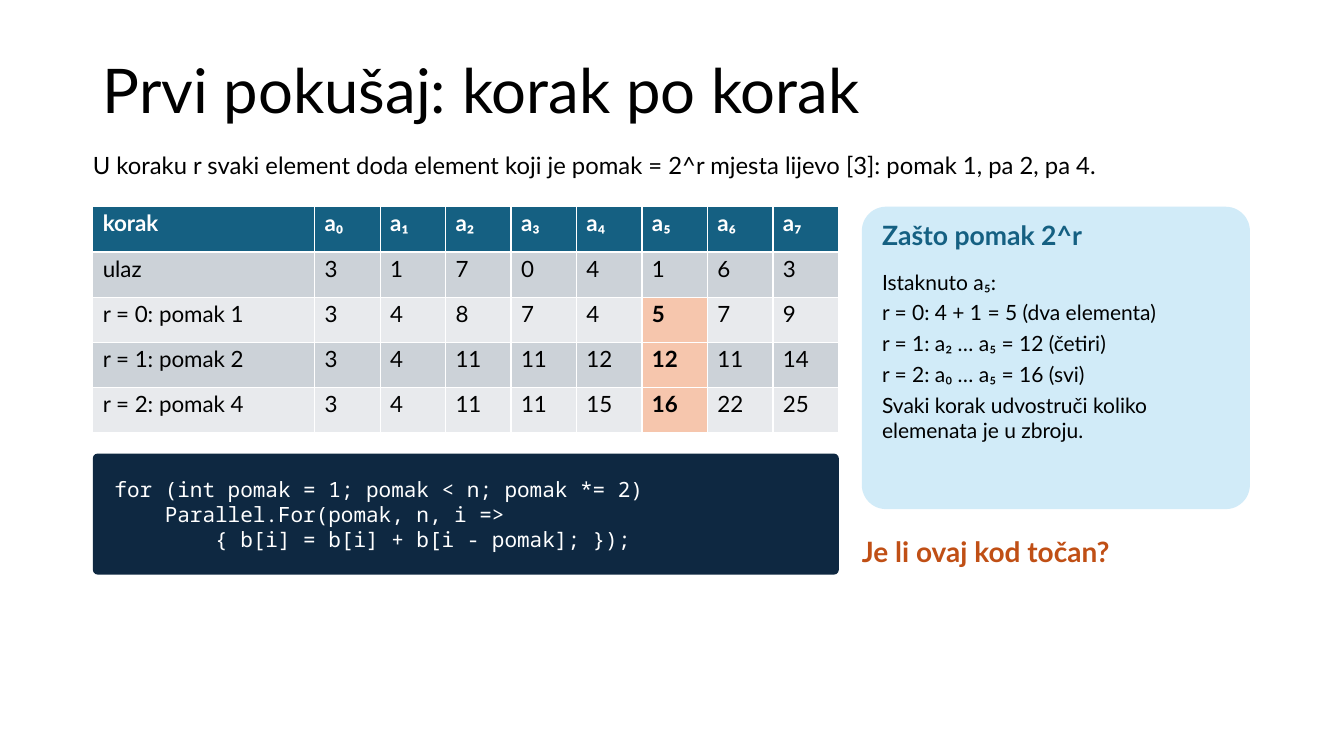
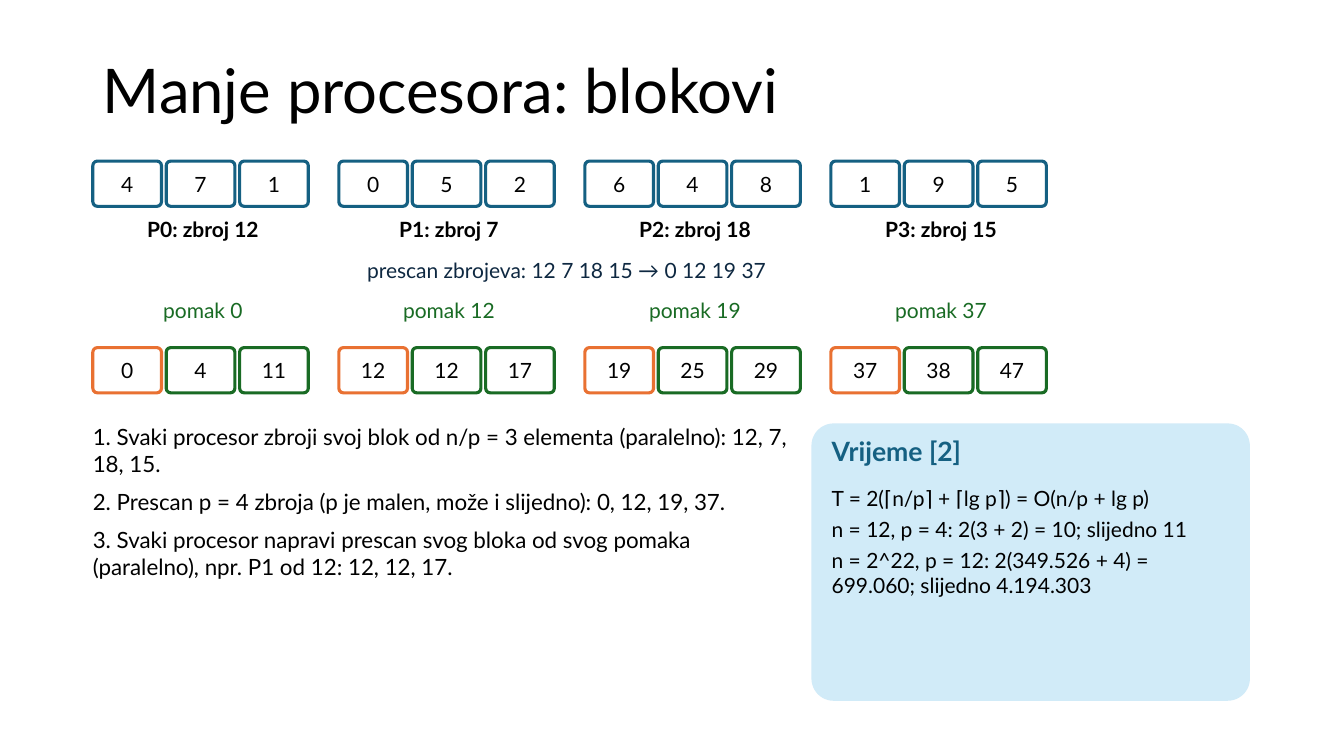
from dataclasses import dataclass
from itertools import accumulate
from typing import NamedTuple, Optional, Sequence

from pptx import Presentation
from pptx.dml.color import RGBColor as Color
from pptx.enum.shapes import MSO_SHAPE as ShapeKind
from pptx.enum.text import MSO_ANCHOR as Anchor
from pptx.enum.text import MSO_AUTO_SIZE as AutoSize
from pptx.enum.text import PP_ALIGN as Align
from pptx.presentation import Presentation as Deck
from pptx.shapes.autoshape import Shape
from pptx.slide import Slide
from pptx.text.text import TextFrame
from pptx.util import Cm, Length, Pt


@dataclass(frozen=True)
class Theme:
    font: str = "Lato"
    code_font: str = "Noto Sans Mono"
    black: Color = Color(0x00, 0x00, 0x00)
    white: Color = Color(0xFF, 0xFF, 0xFF)
    blue: Color = Color(0x15, 0x60, 0x82)
    navy: Color = Color(0x0E, 0x28, 0x41)
    green: Color = Color(0x19, 0x6B, 0x24)
    orange: Color = Color(0xE9, 0x71, 0x32)
    rust: Color = Color(0xC0, 0x4F, 0x15)
    panel: Color = Color(0xD1, 0xEB, 0xF8)
    highlight: Color = Color(0xF6, 0xC6, 0xAD)
    dark_row: Color = Color(0xCC, 0xD2, 0xD8)
    light_row: Color = Color(0xE8, 0xEA, 0xED)
    title_size: Length = Pt(44)
    question_size: Length = Pt(20)
    heading_size: Length = Pt(19)
    intro_size: Length = Pt(17)
    body_size: Length = Pt(16)
    small_size: Length = Pt(15)


THEME = Theme()


class Box(NamedTuple):
    left: float
    top: float
    width: float
    height: float

    def lengths(self) -> list[Length]:
        return [Cm(value) for value in self]


class Panel(NamedTuple):
    box: Box
    heading: str
    lines: Sequence[str]


class Block(NamedTuple):
    values: Sequence[int]
    offset: int

    def results(self) -> list[int]:
        return list(accumulate(self.values[:-1], initial=self.offset))


LEFT = 2.34
TITLE_BOX = Box(LEFT, 1.02, 29.21, 2.69)
ROW_HEIGHT = 1.14
CELL_WIDTH = 1.73
CELL_PITCH = 1.85
BLOCK_PITCH = 6.2
LABEL_HEIGHT = 1.02
HIGHLIGHT_COLUMN = 6

SCAN_ROWS = [
    ["korak", *(f"a{digit}" for digit in "₀₁₂₃₄₅₆₇")],
    ["ulaz", 3, 1, 7, 0, 4, 1, 6, 3],
    ["r = 0: pomak 1", 3, 4, 8, 7, 4, 5, 7, 9],
    ["r = 1: pomak 2", 3, 4, 11, 11, 12, 12, 11, 14],
    ["r = 2: pomak 4", 3, 4, 11, 11, 15, 16, 22, 25],
]
CODE = [
    "for (int pomak = 1; pomak < n; pomak *= 2)",
    "    Parallel.For(pomak, n, i =>",
    "        { b[i] = b[i] + b[i - pomak]; });",
]
WHY_PANEL = Panel(
    Box(21.72, 5.21, 9.78, 7.62),
    "Zašto pomak 2^r",
    [
        "Istaknuto a₅:",
        "r = 0: 4 + 1 = 5 (dva elementa)",
        "r = 1: a₂ … a₅ = 12 (četiri)",
        "r = 2: a₀ … a₅ = 16 (svi)",
        "Svaki korak udvostruči koliko elemenata je u zbroju.",
    ],
)
TIME_PANEL = Panel(
    Box(20.45, 10.67, 11.05, 6.99),
    "Vrijeme [2]",
    [
        "T = 2(⌈n/p⌉ + ⌈lg p⌉) = O(n/p + lg p)",
        "n = 12, p = 4: 2(3 + 2) = 10; slijedno 11",
        "n = 2^22, p = 12: 2(349.526 + 4) = 699.060; slijedno 4.194.303",
    ],
)
BLOCK_VALUES = [(4, 7, 1), (0, 5, 2), (6, 4, 8), (1, 9, 5)]
STEPS = [
    "1. Svaki procesor zbroji svoj blok od n/p = 3 elementa (paralelno): 12, 7, 18, 15.",
    "2. Prescan p = 4 zbroja (p je malen, može i slijedno): 0, 12, 19, 37.",
    "3. Svaki procesor napravi prescan svog bloka od svog pomaka (paralelno), npr. P1 od 12: 12, 12, 17.",
]


def write_text(
    frame: TextFrame,
    *lines: str,
    size: Length = THEME.small_size,
    color: Color = THEME.black,
    font: str = THEME.font,
    bold: bool = False,
    align: Align = Align.LEFT,
    space_after: float = 0,
    line_spacing: float = 1.0,
) -> None:
    for index, line in enumerate(lines):
        paragraph = frame.add_paragraph() if index else frame.paragraphs[0]
        paragraph.alignment = align
        paragraph.space_after = Pt(space_after)
        paragraph.line_spacing = line_spacing
        run = paragraph.add_run()
        run.text = line
        run.font.name = font
        run.font.size = size
        run.font.bold = bold
        run.font.color.rgb = color


def set_margins(frame: TextFrame, left: float, top: float, right: float, bottom: float) -> None:
    frame.margin_left, frame.margin_top = Cm(left), Cm(top)
    frame.margin_right, frame.margin_bottom = Cm(right), Cm(bottom)


def add_text(slide: Slide, box: Box, *lines: str, **text_format) -> None:
    frame = slide.shapes.add_textbox(*box.lengths()).text_frame
    frame.word_wrap = True
    frame.auto_size = AutoSize.SHAPE_TO_FIT_TEXT
    set_margins(frame, 0, 0, 0, 0)
    write_text(frame, *lines, **text_format)


def add_round_box(
    slide: Slide, box: Box, fill: Color, rounding: float, line: Optional[Color] = None
) -> Shape:
    shape = slide.shapes.add_shape(ShapeKind.ROUNDED_RECTANGLE, *box.lengths())
    shape.shadow.inherit = False
    shape.adjustments[0] = rounding
    shape.fill.solid()
    shape.fill.fore_color.rgb = fill
    if line is None:
        shape.line.fill.background()
    else:
        shape.line.color.rgb = line
        shape.line.width = Pt(2.25)
    shape.text_frame.word_wrap = True
    shape.text_frame.vertical_anchor = Anchor.MIDDLE
    return shape


def add_titled_slide(presentation: Deck, title: str) -> Slide:
    slide = presentation.slides.add_slide(presentation.slide_layouts[6])
    frame = slide.shapes.add_textbox(*TITLE_BOX.lengths()).text_frame
    frame.word_wrap = True
    frame.vertical_anchor = Anchor.MIDDLE
    write_text(frame, title, size=THEME.title_size, line_spacing=0.9)
    return slide


def add_panel(slide: Slide, panel: Panel) -> None:
    box = panel.box
    add_round_box(slide, box, THEME.panel, 0.08)
    left, width = box.left + 0.51, box.width - 1.02
    add_text(
        slide, Box(left, box.top + 0.3, width, ROW_HEIGHT), panel.heading,
        size=THEME.heading_size, color=THEME.blue, bold=True,
    )
    add_text(
        slide, Box(left, box.top + 1.57, width, box.height - 1.78), *panel.lines,
        space_after=4,
    )


def add_scan_table(slide: Slide) -> None:
    box = Box(LEFT, 5.21, 18.79, ROW_HEIGHT * len(SCAN_ROWS))
    table = slide.shapes.add_table(len(SCAN_ROWS), len(SCAN_ROWS[0]), *box.lengths()).table
    for index, column in enumerate(table.columns):
        column.width = Cm(1.65 if index else 5.59)
    for row_index, values in enumerate(SCAN_ROWS):
        table.rows[row_index].height = Cm(ROW_HEIGHT)
        header = row_index == 0
        row_fill = THEME.dark_row if row_index % 2 else THEME.light_row
        for column_index, value in enumerate(values):
            marked = row_index > 1 and column_index == HIGHLIGHT_COLUMN
            cell = table.cell(row_index, column_index)
            cell.margin_left = cell.margin_right = Cm(0.25)
            cell.margin_top = cell.margin_bottom = Cm(0.08)
            cell.fill.solid()
            cell.fill.fore_color.rgb = (
                THEME.blue if header else THEME.highlight if marked else row_fill
            )
            write_text(
                cell.text_frame, str(value), size=THEME.body_size, bold=header or marked,
                color=THEME.white if header else THEME.black,
            )


def add_number_cells(
    slide: Slide, left: float, top: float, values: Sequence[int], lines: Sequence[Color]
) -> None:
    for index, (value, line) in enumerate(zip(values, lines)):
        box = Box(left + index * CELL_PITCH, top, CELL_WIDTH, ROW_HEIGHT)
        frame = add_round_box(slide, box, THEME.white, 0.1, line).text_frame
        set_margins(frame, 0.08, 0.13, 0.08, 0.13)
        write_text(frame, str(value), align=Align.CENTER)


def add_block(slide: Slide, index: int, block: Block) -> None:
    left = LEFT + index * BLOCK_PITCH
    width = CELL_PITCH * len(block.values)
    add_number_cells(slide, left, 4.06, block.values, [THEME.blue] * 3)
    add_text(
        slide, Box(left, 5.46, width, LABEL_HEIGHT), f"P{index}: zbroj {sum(block.values)}",
        bold=True, align=Align.CENTER,
    )
    add_text(
        slide, Box(left, 7.49, width, LABEL_HEIGHT), f"pomak {block.offset}",
        color=THEME.green, align=Align.CENTER,
    )
    add_number_cells(
        slide, left, 8.76, block.results(), [THEME.orange, THEME.green, THEME.green]
    )


def build_steps_slide(presentation: Deck) -> None:
    slide = add_titled_slide(presentation, "Prvi pokušaj: korak po korak")
    add_text(
        slide, Box(LEFT, 3.81, 29.21, 1.27),
        "U koraku r svaki element doda element koji je pomak = 2^r mjesta lijevo [3]: "
        "pomak 1, pa 2, pa 4.",
        size=THEME.intro_size,
    )
    add_scan_table(slide)
    code = add_round_box(slide, Box(LEFT, 11.43, 18.8, 3.05), THEME.navy, 0.04).text_frame
    set_margins(code, 0.51, 0.13, 0.25, 0.13)
    write_text(code, *CODE, color=THEME.white, font=THEME.code_font)
    add_panel(slide, WHY_PANEL)
    add_text(
        slide, Box(21.72, 13.46, 9.78, 2.03), "Je li ovaj kod točan?",
        size=THEME.question_size, color=THEME.rust, bold=True,
    )


def build_blocks_slide(presentation: Deck) -> None:
    slide = add_titled_slide(presentation, "Manje procesora: blokovi")
    offsets = accumulate(map(sum, BLOCK_VALUES[:-1]), initial=0)
    for index, block in enumerate(map(Block, BLOCK_VALUES, offsets)):
        add_block(slide, index, block)
    add_text(
        slide, Box(LEFT, 6.48, 23.88, LABEL_HEIGHT),
        "prescan zbrojeva: 12 7 18 15 → 0 12 19 37",
        color=THEME.navy, align=Align.CENTER,
    )
    add_text(
        slide, Box(LEFT, 10.67, 17.53, 6.6), *STEPS, size=THEME.body_size, space_after=8
    )
    add_panel(slide, TIME_PANEL)


def main() -> None:
    presentation = Presentation()
    presentation.slide_width, presentation.slide_height = Cm(33.87), Cm(19.05)
    build_steps_slide(presentation)
    build_blocks_slide(presentation)
    presentation.save("out.pptx")


if __name__ == "__main__":
    main()
